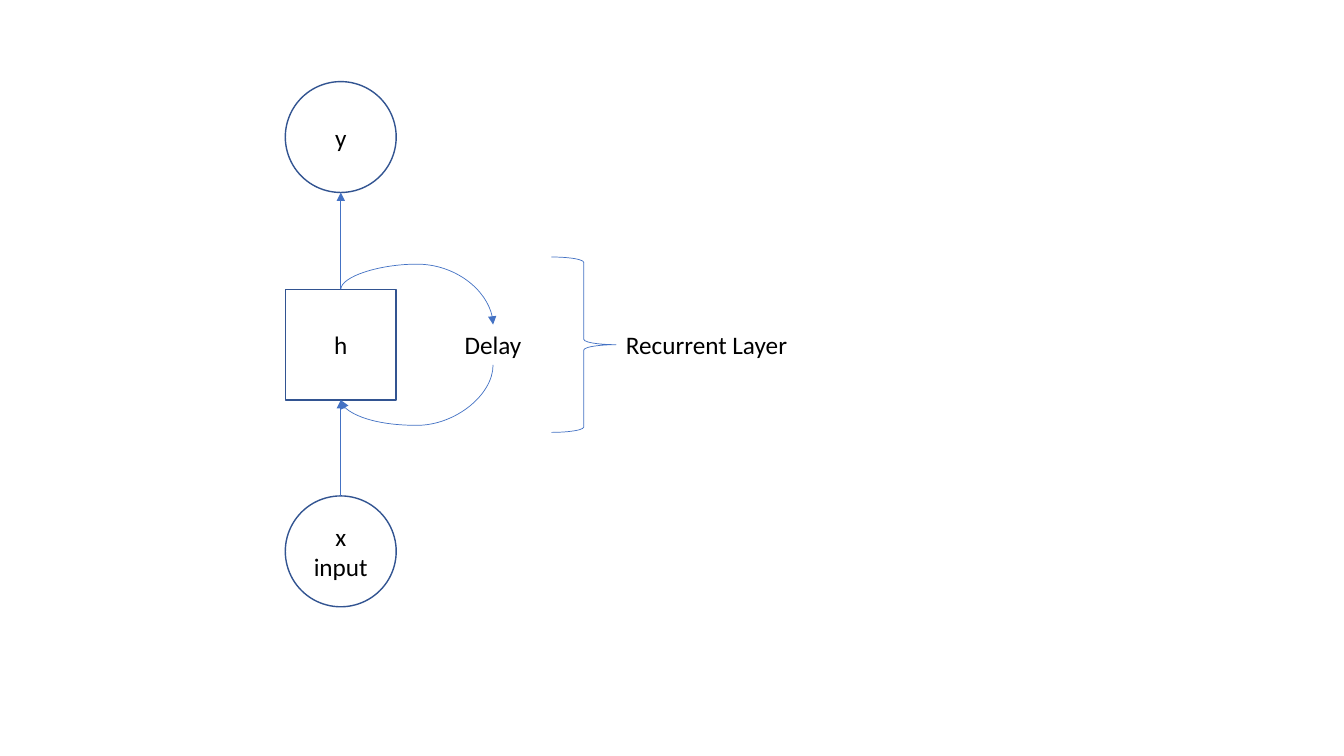
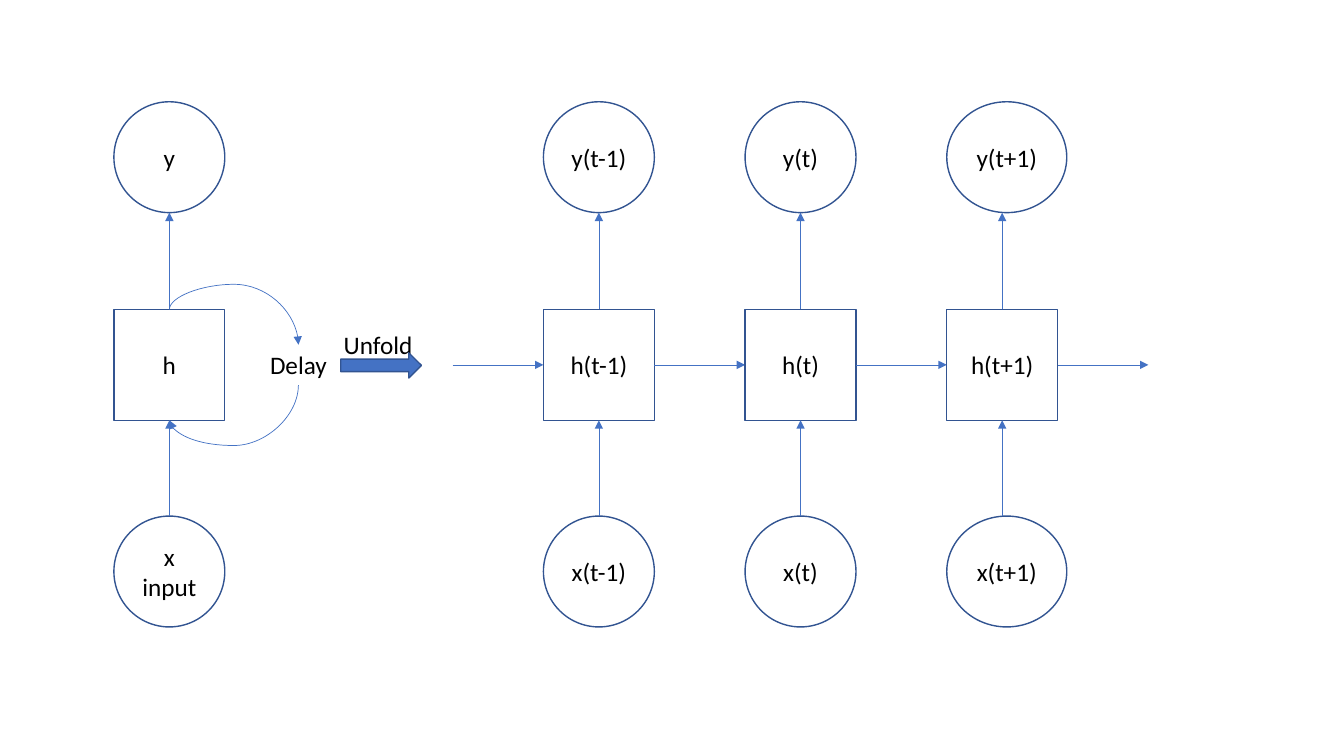
from pptx import Presentation
from pptx.dml.color import RGBColor
from pptx.enum.shapes import MSO_CONNECTOR, MSO_SHAPE
from pptx.enum.text import MSO_ANCHOR, MSO_AUTO_SIZE, PP_ALIGN
from pptx.oxml.ns import qn
from pptx.util import Inches, Pt
from lxml.etree import SubElement

COLORS = {"outline": "325491", "accent": "4472C4", "text": "000000"}
FONT, TEXT_SIZE = "Calibri", 18

# Vertical rhythm of every output / hidden / input column
NODE = 1.1
HIDDEN_DY, INPUT_DY = 2.06, 4.11
MIDDLE_DY = HIDDEN_DY + NODE / 2
LABEL_H = 0.4
BULGE = 0.25


class Diagram:
    """Holds the presentation, its style and the slide being drawn."""

    def __init__(self):
        self.deck = Presentation()
        self.deck.slide_width, self.deck.slide_height = Inches(13.33), Inches(7.5)
        self.slide = None

    def new_slide(self):
        self.slide = self.deck.slides.add_slide(self.deck.slide_layouts[6])

    def color(self, name):
        return RGBColor.from_string(COLORS[name])

    def add_text(self, frame, text, align):
        paragraph = frame.paragraphs[0]
        paragraph.alignment = align
        run = paragraph.add_run()
        run.text = text
        run.font.name, run.font.size = FONT, Pt(TEXT_SIZE)
        run.font.color.rgb = self.color("text")

    def shape(self, kind, left, top, width, height, text="",
              fill=None, line="outline", weight=1):
        shape = self.slide.shapes.add_shape(
            kind, Inches(left), Inches(top), Inches(width), Inches(height))
        shape.shadow.inherit = False
        if fill:
            shape.fill.solid()
            shape.fill.fore_color.rgb = self.color(fill)
        else:
            shape.fill.background()
        shape.line.color.rgb = self.color(line)
        shape.line.width = Pt(weight)
        if text:
            shape.text_frame.vertical_anchor = MSO_ANCHOR.MIDDLE
            self.add_text(shape.text_frame, text, PP_ALIGN.CENTER)

    def label(self, left, top, width, text):
        box = self.slide.shapes.add_textbox(
            Inches(left), Inches(top), Inches(width), Inches(LABEL_H))
        box.text_frame.word_wrap = False
        box.text_frame.auto_size = MSO_AUTO_SIZE.SHAPE_TO_FIT_TEXT
        self.add_text(box.text_frame, text, PP_ALIGN.LEFT)

    def arrow(self, x1, y1, x2, y2, kind=MSO_CONNECTOR.STRAIGHT):
        arrow = self.slide.shapes.add_connector(
            kind, Inches(x1), Inches(y1), Inches(x2), Inches(y2))
        arrow.line.color.rgb = self.color("accent")
        arrow.line.width = Pt(0.5)
        properties = arrow._element.spPr
        SubElement(properties.find(qn("a:ln")), qn("a:tailEnd"), type="triangle")
        SubElement(properties, qn("a:effectLst"))
        return arrow

    def loop(self, x1, y1, x2, y2):
        """Curve that bulges above when heading right, below when heading left."""
        mid_x, mid_y = (x1 + x2) / 2, (y1 + y2) / 2
        half_w, half_h = (y2 - y1) / 2, abs(x2 - x1) / 2
        rightward = x2 > x1
        # The frame is a quarter turn away; swapped ends flip it
        side = half_w if rightward else -half_w
        curve = self.arrow(mid_x + side, mid_y - half_h,
                           mid_x - side, mid_y + half_h, MSO_CONNECTOR.CURVE)
        properties = curve._element.spPr
        turn = 270 if rightward else 90
        properties.find(qn("a:xfrm")).set("rot", str(turn * 60000))
        ratio = BULGE / (y2 - y1)
        bend = -ratio if rightward else 1 + ratio
        adjustments = properties.find(qn("a:prstGeom")).find(qn("a:avLst"))
        SubElement(adjustments, qn("a:gd"), name="adj1",
                   fmla=f"val {round(bend * 100000)}")

    def column(self, left, top, output, hidden, entry, circle_width=NODE):
        center = left + NODE / 2
        self.shape(MSO_SHAPE.OVAL, left, top + INPUT_DY, circle_width, NODE, entry)
        self.shape(MSO_SHAPE.OVAL, left, top, circle_width, NODE, output)
        self.shape(MSO_SHAPE.RECTANGLE, left, top + HIDDEN_DY, NODE, NODE, hidden)
        self.arrow(center, top + INPUT_DY, center, top + HIDDEN_DY + NODE)
        self.arrow(center, top + HIDDEN_DY, center, top + NODE)

    def recurrent_unit(self, left, top, delay_x):
        self.column(left, top, "y", "h", "x input")
        center, middle = left + NODE / 2, top + MIDDLE_DY
        delay_top, delay_bottom = middle - LABEL_H / 2, middle + LABEL_H / 2
        self.label(delay_x - 0.38, delay_top, 0.77, "Delay")
        self.loop(center, top + HIDDEN_DY, delay_x, delay_top)
        self.loop(delay_x, delay_bottom, center, top + HIDDEN_DY + NODE)


diagram = Diagram()

# Slide 1: folded network
diagram.new_slide()
diagram.recurrent_unit(left=2.83, top=0.81, delay_x=4.89)
diagram.shape(MSO_SHAPE.RIGHT_BRACE, 5.47, 2.55, 0.64, 1.74,
              line="accent", weight=0.5)
diagram.label(6.11, 3.22, 1.82, "Recurrent Layer")

# Slide 2: network unfolded over time
diagram.new_slide()
top = 1.01
diagram.recurrent_unit(left=1.13, top=top, delay_x=2.96)
diagram.label(3.31, 3.22, 0.89, "Unfold")
diagram.shape(MSO_SHAPE.RIGHT_ARROW, 3.38, 3.5, 0.8, 0.25, fill="accent")

first_left, pitch = 5.39, 2
state_y = top + MIDDLE_DY
diagram.arrow(first_left - 0.9, state_y, first_left, state_y)
steps = [("t-1", NODE), ("t", NODE), ("t+1", 1.19)]
for index, (time, circle_width) in enumerate(steps):
    left = first_left + index * pitch
    diagram.column(left, top, f"y({time})", f"h({time})", f"x({time})", circle_width)
    diagram.arrow(left + NODE, state_y, left + pitch, state_y)

diagram.deck.save("out.pptx")
